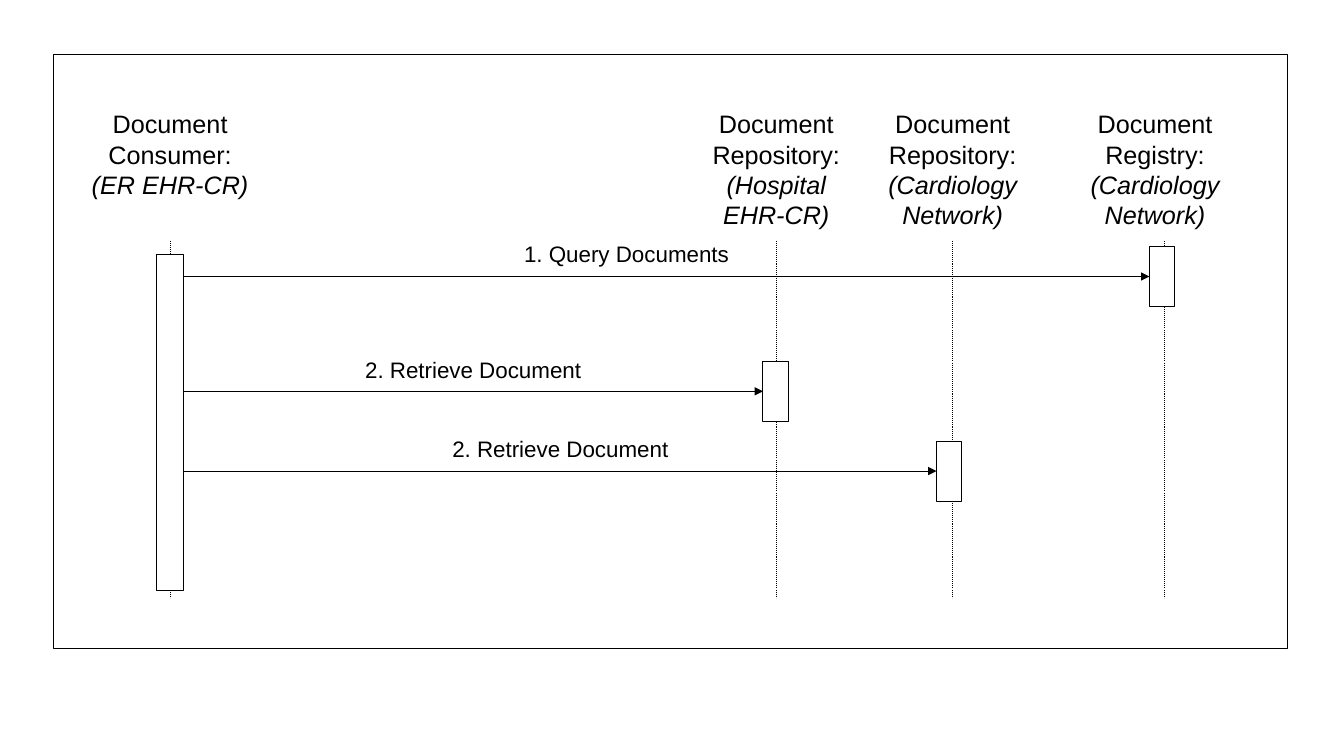
"""Build a sequence diagram of querying and retrieving clinical documents."""
from lxml import etree
from pptx import Presentation
from pptx.dml.color import RGBColor
from pptx.enum.dml import MSO_LINE
from pptx.enum.shapes import MSO_CONNECTOR, MSO_SHAPE
from pptx.enum.text import MSO_ANCHOR, PP_ALIGN
from pptx.oxml.ns import qn
from pptx.util import Pt

STRAIGHT = MSO_CONNECTOR.STRAIGHT
RECTANGLE = MSO_SHAPE.RECTANGLE
DOTTED = MSO_LINE.ROUND_DOT
TOP = MSO_ANCHOR.TOP
CENTER = PP_ALIGN.CENTER
BLACK = RGBColor(0x00, 0x00, 0x00)
WHITE = RGBColor(0xFF, 0xFF, 0xFF)

LEFT_SIDE, BOTTOM_SIDE = 1, 2
HEADER_TOP, HEADER_HEIGHT = 74, 98
LIFELINE_TOP, LIFELINE_BOTTOM = HEADER_TOP + HEADER_HEIGHT, 427
CONSUMER_LEFT, CONSUMER_WIDTH = 112, 19
CONSUMER_EDGE = CONSUMER_LEFT + CONSUMER_WIDTH
BAR_WIDTH, BAR_HEIGHT = 18, 43
LABEL_HEIGHT = 40

# role, organisation, header centre, header width, lifeline x
PARTICIPANTS = [
    ("Document Consumer:", "(ER EHR-CR)", 121.5, 146, 121.5),
    ("Document Repository:", "(Hospital EHR-CR)", 554.5, 119, 554.5),
    ("Document Repository:", "(Cardiology Network)", 680.5, 119, 680.5),
    ("Document Registry:", "(Cardiology Network)", 825, 135, 831.5),
]
# label, arrow y, receiving bar left, label left, label width, label top
MESSAGES = [
    ("1. Query Documents", 197.5, 821, 362, 171, 168),
    ("2. Retrieve Document", 279.5, 545, 131, 414, 250.5),
    ("2. Retrieve Document", 336.5, 669, 131, 538.5, 307.5),
]


def add_box(slide, left, top, width, height, fill=None, outlined=True):
    """Add a rectangle with an optional fill and a thin outline."""
    box = slide.shapes.add_shape(RECTANGLE, Pt(left), Pt(top), Pt(width), Pt(height))
    box.shadow.inherit = False
    if fill is None:
        box.fill.background()
    else:
        box.fill.solid()
        box.fill.fore_color.rgb = fill
    if outlined:
        box.line.color.rgb = BLACK
        box.line.width = Pt(0.75)
    else:
        box.line.fill.background()
    return box


def add_line(slide, x1, y1, x2, y2):
    """Add a thin black connector without a shadow."""
    line = slide.shapes.add_connector(STRAIGHT, Pt(x1), Pt(y1), Pt(x2), Pt(y2))
    line.line.color.rgb = BLACK
    line.line.width = Pt(0.75)
    etree.SubElement(line._element.spPr, qn("a:effectLst"))
    return line


def style_text(frame, size):
    """Wrap and centre the frame's text and return its paragraph."""
    frame.word_wrap = True
    frame.vertical_anchor = TOP
    paragraph = frame.paragraphs[0]
    paragraph.alignment = CENTER
    paragraph.font.name = "Arial"
    paragraph.font.size = Pt(size)
    paragraph.font.color.rgb = BLACK
    return paragraph


def add_participant(slide, role, organisation, centre, width, lifeline_x):
    """Add a participant's header and the dotted lifeline below it."""
    header = add_box(slide, centre - width / 2, HEADER_TOP, width, HEADER_HEIGHT,
                     WHITE, outlined=False)
    title = style_text(header.text_frame, 18)
    title.add_run().text = role
    title.add_line_break()
    owner = title.add_run()
    owner.text = organisation
    owner.font.italic = True
    lifeline = add_line(slide, lifeline_x, LIFELINE_TOP, lifeline_x, LIFELINE_BOTTOM)
    lifeline.line.dash_style = DOTTED
    if centre == lifeline_x:
        lifeline.begin_connect(header, BOTTOM_SIDE)


def add_message(slide, label, y, bar_left, label_left, label_width, label_top):
    """Add a labelled arrow from the consumer to a receiving bar."""
    bar = add_box(slide, bar_left, y - BAR_HEIGHT / 2, BAR_WIDTH, BAR_HEIGHT, WHITE)
    arrow = add_line(slide, CONSUMER_EDGE, y, bar_left, y)
    arrow.end_connect(bar, LEFT_SIDE)
    etree.SubElement(arrow.line._get_or_add_ln(), qn("a:tailEnd"), type="triangle")
    caption = slide.shapes.add_textbox(Pt(label_left), Pt(label_top),
                                       Pt(label_width), Pt(LABEL_HEIGHT))
    style_text(caption.text_frame, 16).add_run().text = label


def main():
    """Build the diagram and save it."""
    deck = Presentation()
    deck.slide_width, deck.slide_height = Pt(960), Pt(540)
    slide = deck.slides.add_slide(deck.slide_layouts[6])
    add_box(slide, 38, 39, 882, 424)
    for participant in PARTICIPANTS:
        add_participant(slide, *participant)
    add_box(slide, CONSUMER_LEFT, 181.5, CONSUMER_WIDTH, 240.5, WHITE)
    for message in MESSAGES:
        add_message(slide, *message)
    deck.save("out.pptx")


if __name__ == "__main__":
    main()
